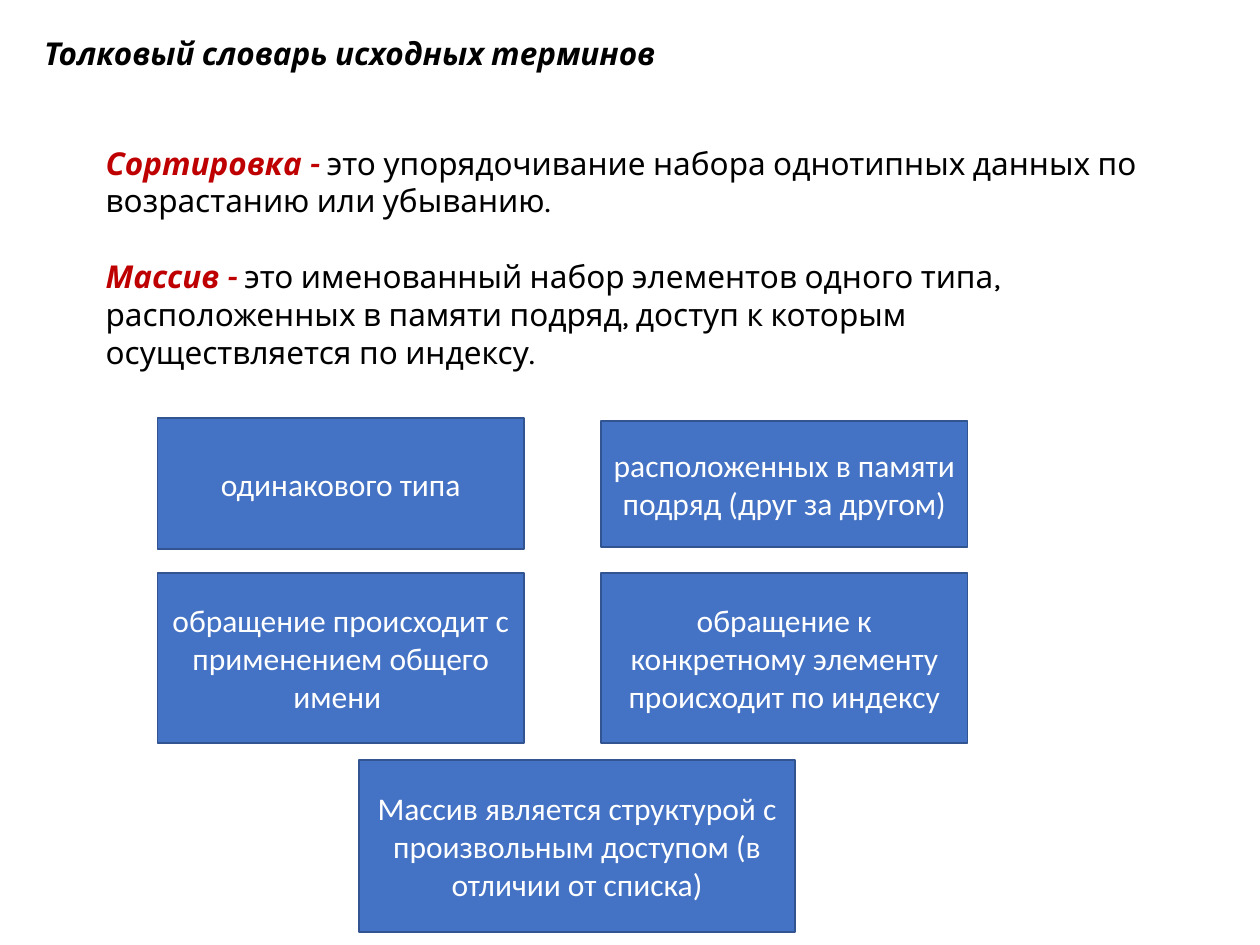
from dataclasses import dataclass

from pptx import Presentation
from pptx.dml.color import RGBColor
from pptx.enum.shapes import MSO_SHAPE
from pptx.enum.text import MSO_ANCHOR, MSO_AUTO_SIZE, PP_ALIGN
from pptx.util import Inches, Pt

RECTANGLE = MSO_SHAPE.RECTANGLE
LEFT, CENTER = PP_ALIGN.LEFT, PP_ALIGN.CENTER
TOP, MIDDLE = MSO_ANCHOR.TOP, MSO_ANCHOR.MIDDLE
FIT_SHAPE = MSO_AUTO_SIZE.SHAPE_TO_FIT_TEXT


@dataclass(frozen=True)
class Theme:
    text_font: str = "Karla"
    box_font: str = "Calibri"
    size: int = 18
    text: str = "000000"
    term: str = "BF0000"
    box_text: str = "FFFFFF"
    box_fill: str = "4472C4"
    box_line: str = "325491"


THEME = Theme()

# Content
HEADING = "Толковый словарь исходных терминов"
DEFINITIONS = [  # term, meaning, top, height
    ("Сортировка - ",
     "это упорядочивание набора однотипных данных по возрастанию или убыванию.",
     1.09, 0.71),
    ("Массив - ",
     "это именованный набор элементов одного типа, расположенных в памяти подряд, "
     "доступ к которым осуществляется по индексу.",
     1.99, 1.01),
]
PROPERTIES = [  # rows of (text, box height)
    [("одинакового типа", 1.04),
     ("расположенных в памяти подряд (друг за другом)", 1.0)],
    [("обращение происходит с применением общего имени ", 1.35),
     ("обращение к конкретному элементу происходит по индексу", 1.35)],
]
CONCLUSION = "Массив является структурой с произвольным доступом (в отличии от списка)"

# Grid of property boxes, in inches
GRID_LEFT, COLUMN_STEP, BOX_WIDTH = 1.25, 3.52, 2.91
ROW_CENTERS = (3.84, 5.22)
CONCLUSION_AREA = (2.85, 6.03, 3.46, 1.37)


def inches(*lengths):
    return [Inches(length) for length in lengths]


def style(run, font, color, emphasis=False):
    run.font.name = font
    run.font.size = Pt(THEME.size)
    run.font.color.rgb = RGBColor.from_string(color)
    run.font.bold = run.font.italic = emphasis


def add_definition(slide, term, meaning, top, height):
    box = slide.shapes.add_textbox(*inches(0.74, top, 8.41, height))
    frame = box.text_frame
    frame.word_wrap = True
    frame.auto_size = FIT_SHAPE
    for words, color, emphasis in ((term, THEME.term, True), (meaning, THEME.text, False)):
        run = frame.paragraphs[0].add_run()
        run.text = words
        style(run, THEME.text_font, color, emphasis)


def add_property(slide, words, area):
    box = slide.shapes.add_shape(RECTANGLE, *inches(*area))
    box.shadow.inherit = False
    box.fill.solid()
    box.fill.fore_color.rgb = RGBColor.from_string(THEME.box_fill)
    box.line.color.rgb = RGBColor.from_string(THEME.box_line)
    box.line.width = Pt(1)
    frame = box.text_frame
    frame.word_wrap = True
    frame.vertical_anchor = MIDDLE
    frame.text = words
    frame.paragraphs[0].alignment = CENTER
    style(frame.paragraphs[0].runs[0], THEME.box_font, THEME.box_text)


def main():
    deck = Presentation()
    deck.slide_width, deck.slide_height = inches(10, 7.5)
    slide = deck.slides.add_slide(deck.slide_layouts[5])

    # Heading
    title = slide.shapes.title
    title.left, title.top, title.width, title.height = inches(0.25, 0.22, 6.34, 0.4)
    frame = title.text_frame
    frame.text = HEADING
    frame.vertical_anchor = TOP
    frame.auto_size = FIT_SHAPE
    frame.paragraphs[0].alignment = LEFT
    style(frame.paragraphs[0].runs[0], THEME.text_font, THEME.text, True)

    # Definitions
    for definition in DEFINITIONS:
        add_definition(slide, *definition)

    # Properties of an array, each box centred on its row
    for center, row in zip(ROW_CENTERS, PROPERTIES):
        for column, (words, height) in enumerate(row):
            left = GRID_LEFT + column * COLUMN_STEP
            add_property(slide, words, (left, center - height / 2, BOX_WIDTH, height))
    add_property(slide, CONCLUSION, CONCLUSION_AREA)

    deck.save("out.pptx")


if __name__ == "__main__":
    main()
